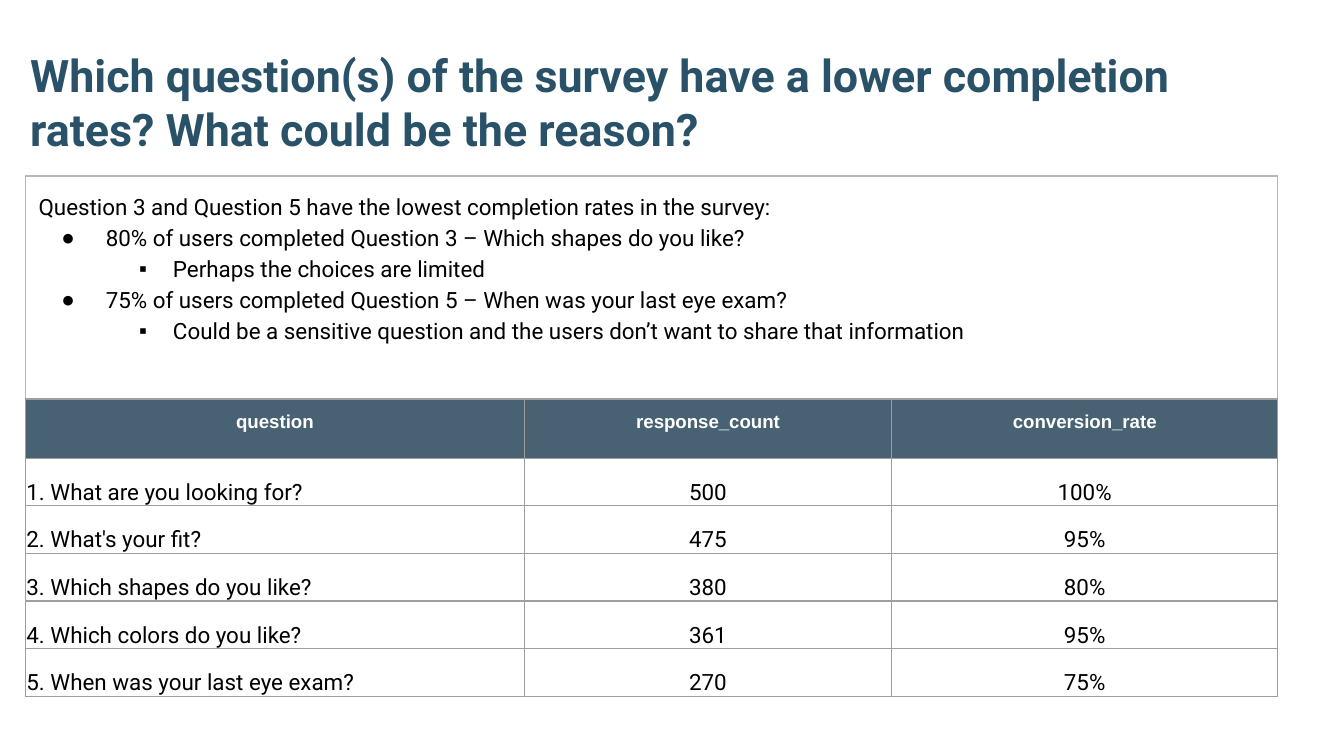
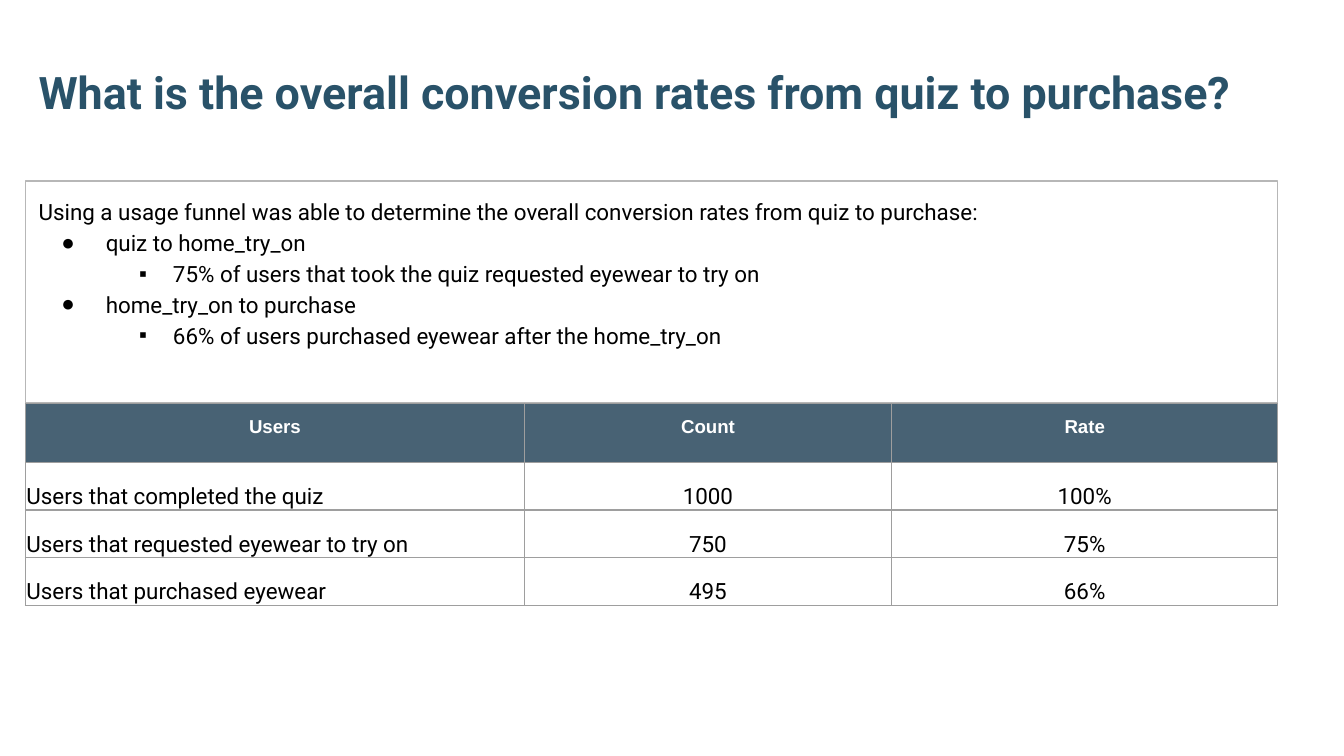
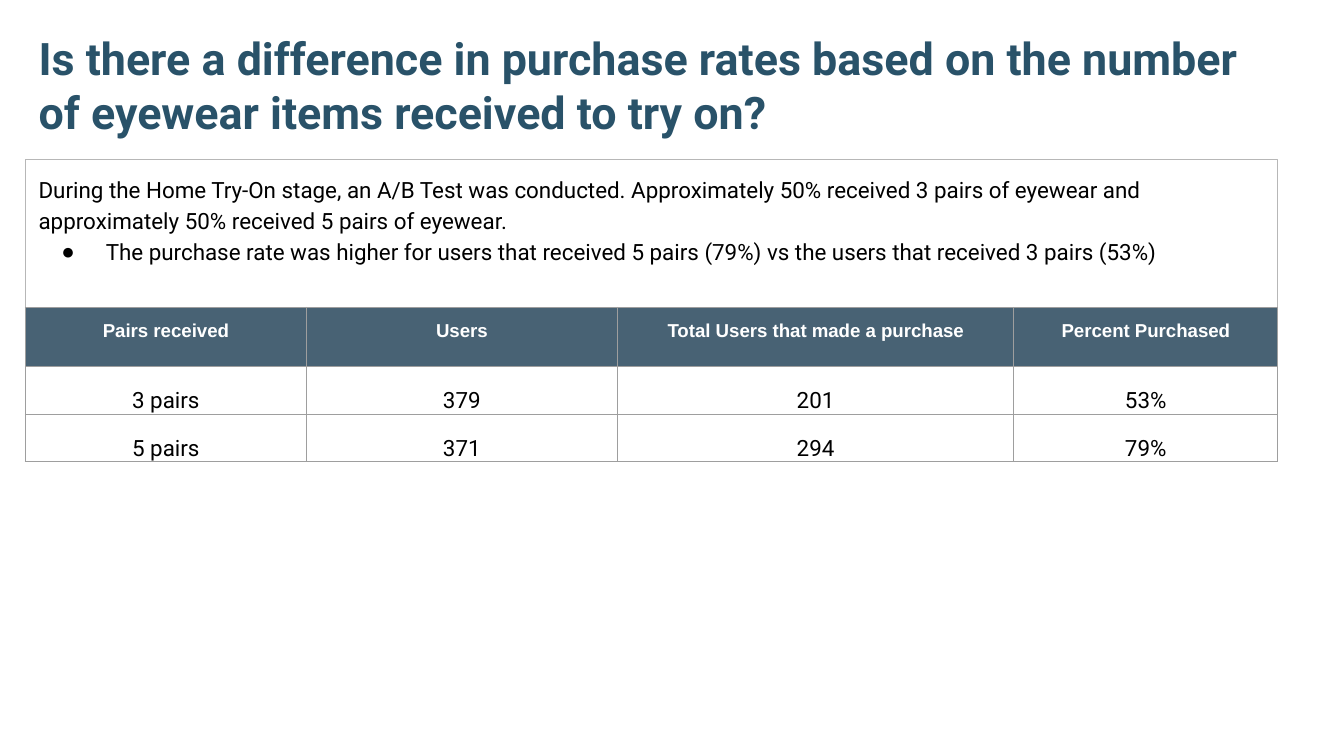
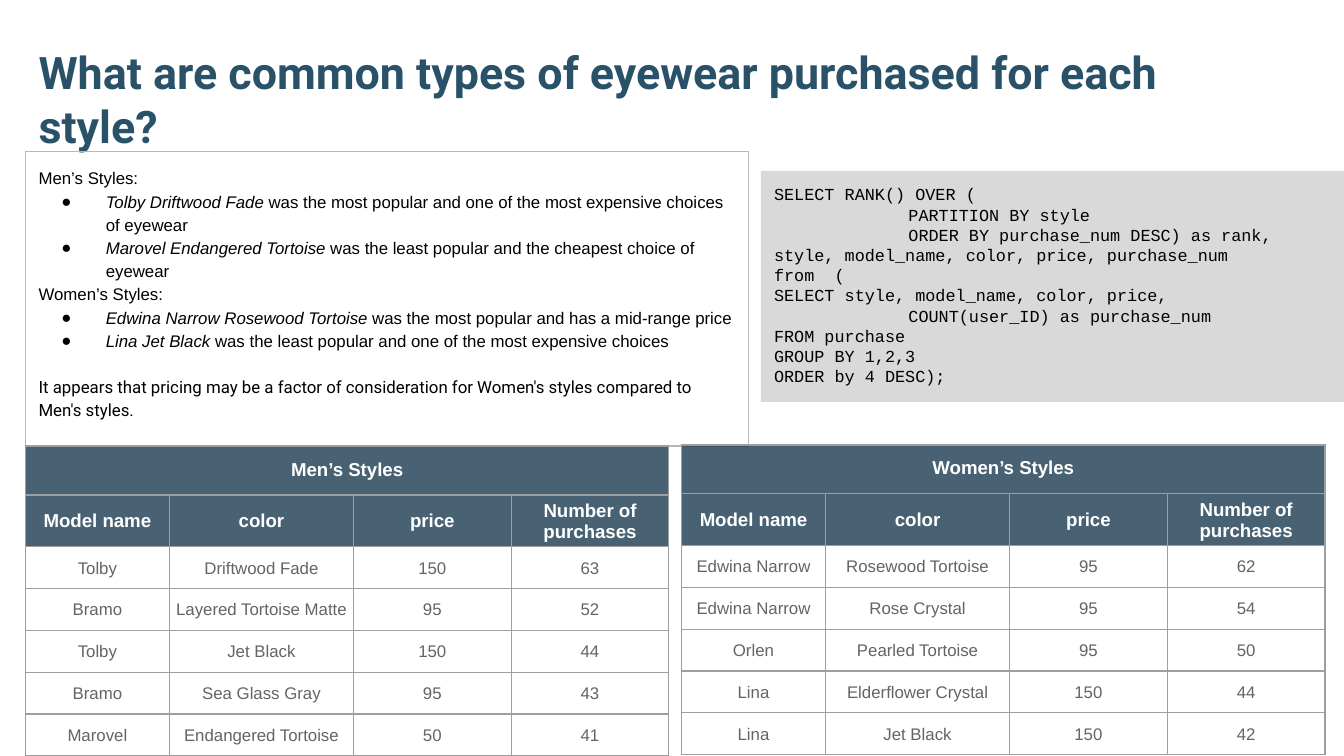
"""Build four slides of eyewear survey, funnel and purchase findings."""
import itertools

import pptx
import pptx.dml.color
import pptx.enum.shapes
import pptx.enum.text
import pptx.oxml
import pptx.oxml.ns
import pptx.util

Cm, Pt = pptx.util.Cm, pptx.util.Pt
RGBColor = pptx.dml.color.RGBColor
ALIGN = pptx.enum.text.PP_ALIGN
ANCHOR = pptx.enum.text.MSO_ANCHOR
qn = pptx.oxml.ns.qn

TITLE_BLUE = RGBColor(0x29, 0x52, 0x69)
HEADER_BLUE = RGBColor(0x20, 0x40, 0x56)
WHITE = RGBColor(0xFF, 0xFF, 0xFF)
BLACK = RGBColor(0, 0, 0)
MODEL_GRAY = RGBColor(0x64, 0x64, 0x66)
CODE_GRAY = RGBColor(0xD9, 0xD9, 0xD9)
BOX_GRAY = RGBColor(0xB7, 0xB7, 0xB7)
GRID_GRAY = RGBColor(0x9E, 0x9E, 0x9E)

HEADER_OPACITY = 82
LEFT, WIDTH, TITLE_HEIGHT = 0.48, 23.67, 2.34
INSET, TIGHT = (0.25, 0.25, 0.25, 0.25), (0.02, 0.02, 0.02, 0)

TITLE = {"name": "Roboto", "size": Pt(24), "bold": True, "color": TITLE_BLUE}
BODY = {"name": "Roboto", "size": Pt(12), "bold": False, "color": BLACK}
SMALL = {"name": "Arial", "size": Pt(9), "bold": False, "color": BLACK}
CODE = {"name": "Courier New", "size": Pt(9), "bold": False, "color": BLACK}
HEADER = {"name": "Arial", "size": Pt(10), "bold": True, "color": WHITE}
MODEL = {**SMALL, "color": MODEL_GRAY}
ITALIC = {"italic": True}

BULLETS = {"dot": ("●", 1.27, -0.84, 0), "square": ("▪", 2.54, -0.64, 1)}

BAND_ROW = {"format": HEADER, "inset": INSET, "anchor": ANCHOR.TOP, "height": 1.12, "fill": True}
MERGED_ROW = {**BAND_ROW, "height": 0.79}
HEADING_ROW = {"format": HEADER, "inset": TIGHT, "anchor": ANCHOR.MIDDLE, "height": 0.98, "fill": True}
ANSWER_ROW = {"format": BODY, "inset": TIGHT, "anchor": ANCHOR.BOTTOM, "height": 0.9, "fill": False}
MODEL_ROW = {"format": MODEL, "inset": TIGHT, "anchor": ANCHOR.MIDDLE, "height": 0.79, "fill": False}

ANSWER_STYLES = ([BAND_ROW], ANSWER_ROW)
MODEL_STYLES = ([MERGED_ROW, HEADING_ROW], MODEL_ROW)
THREE_COLUMNS = (9.43, 6.94, 7.3)
MODEL_COLUMNS = (2.72, 3.48, 2.98, 2.98)
MODEL_HEADINGS = ("Model name", "color", "price", "Number of purchases")

QUERY = """SELECT RANK() OVER (
\tPARTITION BY style
\tORDER BY purchase_num DESC) as rank,
style, model_name, color, price, purchase_num
from  (
SELECT style, model_name, color, price,
\tCOUNT(user_ID) as purchase_num
FROM purchase
GROUP BY 1,2,3
ORDER by 4 DESC);"""

SLIDES = [
    {
        "title": ("Which question(s) of the survey have a lower completion rates? What could be the reason?", 0.32, 0.84),
        "box": (3.33, WIDTH, 4.2, BODY),
        "notes": [
            ("plain", "Question 3 and Question 5 have the lowest completion rates in the survey:"),
            ("dot", "80% of users completed Question 3 – Which shapes do you like?"),
            ("square", "Perhaps the choices are limited"),
            ("dot", "75% of users completed Question 5 – When was your last eye exam?"),
            ("square", "Could be a sensitive question and the users don’t want to share that information"),
        ],
        "tables": [(LEFT, 7.54, THREE_COLUMNS, ANSWER_STYLES, ALIGN.LEFT, [
            ("question", "response_count", "conversion_rate"),
            ("1. What are you looking for?", "500", "100%"),
            ("2. What's your fit?", "475", "95%"),
            ("3. Which shapes do you like?", "380", "80%"),
            ("4. Which colors do you like?", "361", "95%"),
            ("5. When was your last eye exam?", "270", "75%"),
        ])],
    },
    {
        "title": ("What is the overall conversion rates from quiz to purchase?", LEFT, 0.15),
        "box": (3.42, WIDTH, 4.2, BODY),
        "notes": [
            ("plain", "Using a usage funnel was able to determine the overall conversion rates from quiz to purchase:"),
            ("dot", "quiz to home_try_on"),
            ("square", "75% of users that took the quiz requested eyewear to try on"),
            ("dot", "home_try_on to purchase"),
            ("square", "66% of users purchased eyewear after the home_try_on"),
        ],
        "tables": [(LEFT, 7.62, THREE_COLUMNS, ANSWER_STYLES, ALIGN.LEFT, [
            ("Users", "Count", "Rate"),
            ("Users that completed the quiz", "1000", "100%"),
            ("Users that requested eyewear to try on", "750", "75%"),
            ("Users that purchased eyewear", "495", "66%"),
        ])],
    },
    {
        "title": ("Is there a difference in purchase rates based on the number of eyewear items received to try on?", LEFT, 0.53),
        "box": (3.01, WIDTH, 2.81, BODY),
        "notes": [
            ("plain", "During the Home Try-On stage, an A/B Test was conducted. Approximately 50% received 3 pairs "
                      "of eyewear and approximately 50% received 5 pairs of eyewear."),
            ("dot", "The purchase rate was higher for users that received 5 pairs (79%) vs the users that "
                    "received 3 pairs (53%)"),
        ],
        "tables": [(LEFT, 5.81, (5.31, 5.88, 7.49, 4.99), ANSWER_STYLES, ALIGN.CENTER, [
            ("Pairs received", "Users", "Total Users that made a purchase", "Percent Purchased"),
            ("3 pairs", "379", "201", "53%"),
            ("5 pairs", "371", "294", "79%"),
        ])],
    },
    {
        "title": ("What are common types of eyewear purchased for each style?", LEFT, 0.79),
        "code": QUERY,
        "box": (2.87, 13.67, 5.56, SMALL),
        "notes": [
            ("plain", "Men’s Styles:"),
            ("dot", ("Tolby Driftwood Fade ", ITALIC),
             "was the most popular and one of the most expensive choices of eyewear"),
            ("dot", ("Marovel Endangered Tortoise ", ITALIC),
             "was the least popular and the cheapest choice of eyewear"),
            ("plain", "Women’s Styles:"),
            ("dot", ("Edwina Narrow Rosewood Tortoise ", ITALIC),
             "was the most popular and has a mid-range price"),
            ("dot", ("Lina Jet Black ", ITALIC),
             "was the least popular and one of the most expensive choices"),
            ("closing", ("It appears that pricing may be a factor of consideration for Women's styles compared "
                         "to Men's styles.", {"name": "Roboto"})),
        ],
        "tables": [
            (LEFT, 8.43, MODEL_COLUMNS, MODEL_STYLES, ALIGN.CENTER, [
                ("Men’s Styles",),
                MODEL_HEADINGS,
                ("Tolby", "Driftwood Fade", "150", "63"),
                ("Bramo", "Layered Tortoise Matte", "95", "52"),
                ("Tolby", "Jet Black", "150", "44"),
                ("Bramo", "Sea Glass Gray", "95", "43"),
                ("Marovel", "Endangered Tortoise", "50", "41"),
            ]),
            (12.88, 8.41, MODEL_COLUMNS, MODEL_STYLES, ALIGN.CENTER, [
                ("Women’s Styles",),
                MODEL_HEADINGS,
                ("Edwina Narrow", "Rosewood Tortoise", "95", "62"),
                ("Edwina Narrow", "Rose Crystal", "95", "54"),
                ("Orlen", "Pearled Tortoise", "95", "50"),
                ("Lina", "Elderflower Crystal", "150", "44"),
                ("Lina", "Jet Black", "150", "42"),
            ]),
        ],
    },
]


def add_span(para, text, values):
    span = para.add_run()
    span.text = text
    for name, value in values.items():
        if name == "color":
            span.font.color.rgb = value
        else:
            setattr(span.font, name, value)


def add_element(parent, tag, **attributes):
    element = pptx.oxml.parse_xml(f'<a:{tag} {pptx.oxml.ns.nsdecls("a")}/>')
    for name, value in attributes.items():
        element.set(name, str(value))
    parent.append(element)
    return element


def set_insets(holder, insets):
    for side, inset in zip(("left", "right", "top", "bottom"), insets):
        setattr(holder, f"margin_{side}", Cm(inset))


def set_frame(frame, anchor):
    frame.word_wrap = True
    frame.vertical_anchor = anchor
    set_insets(frame, INSET)


def each_paragraph(frame, items):
    for index, item in enumerate(items):
        para = frame.add_paragraph() if index else frame.paragraphs[0]
        para.alignment = ALIGN.LEFT
        yield para, item


def add_bullet(para, kind):
    mark, margin, indent, para.level = BULLETS[kind]
    properties = para._p.get_or_add_pPr()
    properties.set("marL", str(Cm(margin)))
    properties.set("indent", str(Cm(indent)))
    color = add_element(properties, "buClr")
    add_element(color, "srgbClr", val=BLACK)
    add_element(properties, "buFont", typeface="Arial")
    add_element(properties, "buChar", char=mark)


def add_title(page, text, left, top):
    box = page.shapes.add_textbox(Cm(left), Cm(top), Cm(WIDTH), Cm(TITLE_HEIGHT))
    set_frame(box.text_frame, ANCHOR.BOTTOM)
    add_span(box.text_frame.paragraphs[0], text, TITLE)


def add_rectangle(page, left, top, width, height):
    box = page.shapes.add_shape(pptx.enum.shapes.MSO_SHAPE.RECTANGLE, Cm(left), Cm(top), Cm(width), Cm(height))
    box.shadow.inherit = False
    set_frame(box.text_frame, ANCHOR.TOP)
    return box


def add_code(page, query):
    box = add_rectangle(page, 14.38, 3.23, 11.02, 4.37)
    box.fill.solid()
    box.fill.fore_color.rgb = CODE_GRAY
    box.line.fill.background()
    for para, line in each_paragraph(box.text_frame, query.splitlines()):
        tabs = add_element(para._p.get_or_add_pPr(), "tabLst")
        add_element(tabs, "tab", pos=Cm(2.54), algn="l")
        add_span(para, line, CODE)


def add_notes_box(page, notes, top, width, height, values):
    box = add_rectangle(page, LEFT, top, width, height)
    box.fill.background()
    box.line.color.rgb = BOX_GRAY
    box.line.width = Pt(0.75)
    for para, (kind, *spans) in each_paragraph(box.text_frame, notes):
        if kind in BULLETS:
            add_bullet(para, kind)
        para.line_spacing = 1.15
        if kind == "closing":
            para.space_before = Pt(12)
        for span in spans:
            text, changes = (span, {}) if isinstance(span, str) else span
            add_span(para, text, {**values, **changes})


def style_cell(cell, style):
    properties = cell._tc.get_or_add_tcPr()
    for side in ("lnL", "lnR", "lnT", "lnB"):
        border = add_element(properties, side, w=Pt(0.75))
        add_element(add_element(border, "solidFill"), "srgbClr", val=GRID_GRAY)
    if style["fill"]:
        cell.fill.solid()
        cell.fill.fore_color.rgb = HEADER_BLUE
        color = properties.find(qn("a:solidFill")).find(qn("a:srgbClr"))
        add_element(color, "alpha", val=HEADER_OPACITY * 1000)
    else:
        cell.fill.background()
    cell.vertical_anchor = style["anchor"]
    set_insets(cell, style["inset"])


def add_grid(page, left, top, widths, styles, first_alignment, rows):
    heads, body = styles
    row_styles = heads + [body] * (len(rows) - len(heads))
    height = sum(style["height"] for style in row_styles)
    grid = page.shapes.add_table(len(rows), len(widths), Cm(left), Cm(top), Cm(sum(widths)), Cm(height)).table
    grid.first_row = grid.horz_banding = False
    for column, width in zip(grid.columns, widths):
        column.width = Cm(width)
    for row, values, style in zip(grid.rows, rows, row_styles):
        row.height = Cm(style["height"])
        cells = list(row.cells)
        if len(values) == 1:
            cells[0].merge(cells[-1])
        for index, (cell, text) in enumerate(itertools.zip_longest(cells, values)):
            style_cell(cell, style)
            if text:
                para = cell.text_frame.paragraphs[0]
                para.alignment = first_alignment if index == 0 and style is body else ALIGN.CENTER
                add_span(para, text, style["format"])


def main():
    deck = pptx.Presentation()
    deck.slide_width, deck.slide_height = Cm(25.4), Cm(14.29)
    for content in SLIDES:
        page = deck.slides.add_slide(deck.slide_layouts[6])
        add_title(page, *content["title"])
        if "code" in content:
            add_code(page, content["code"])
        add_notes_box(page, content["notes"], *content["box"])
        for table in content["tables"]:
            add_grid(page, *table)
    deck.save("out.pptx")


if __name__ == "__main__":
    main()
